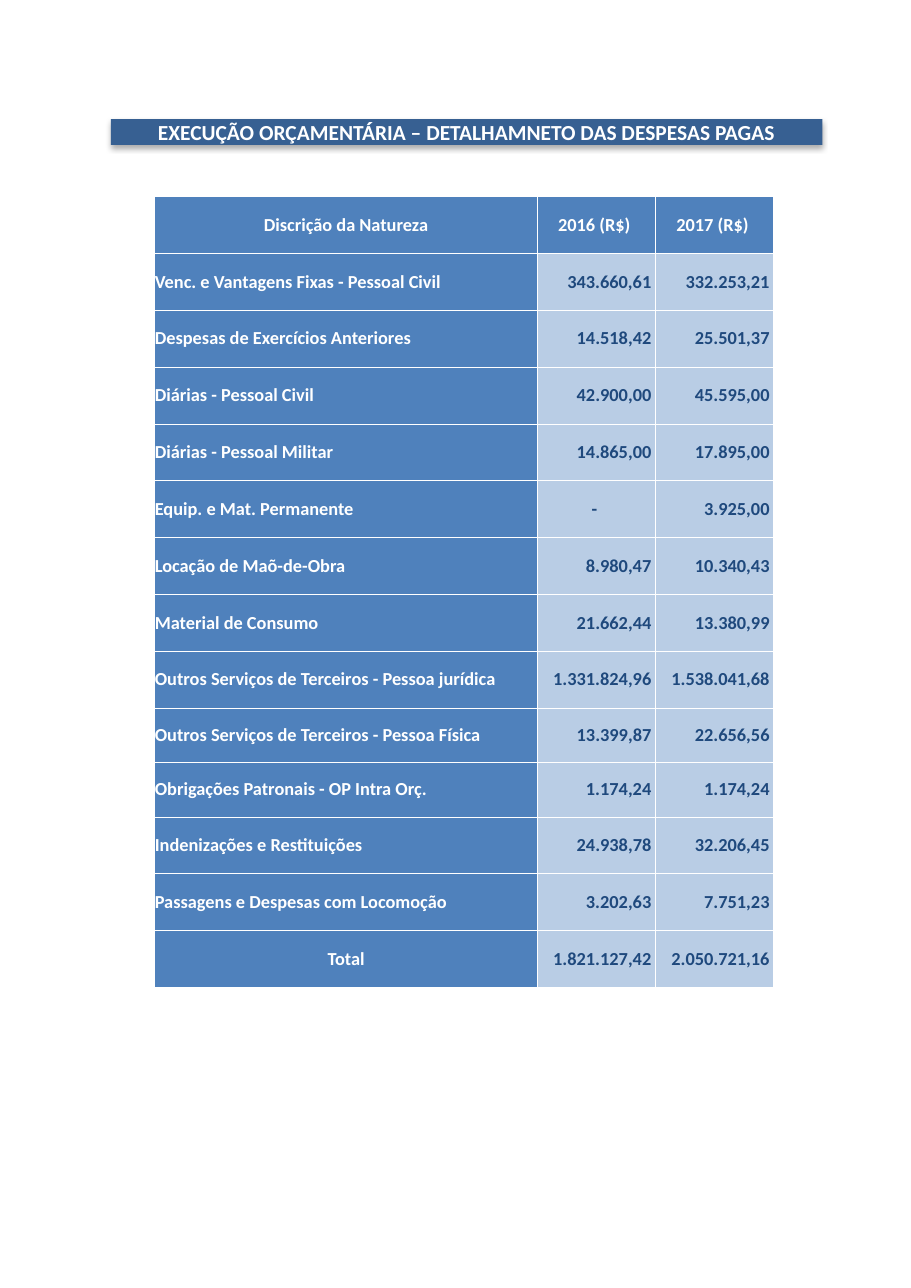
"""Build the slide of budget execution with expenses paid in 2016 and 2017."""
import pptx
import pptx.dml.color
import pptx.enum.shapes
import pptx.enum.text
import pptx.oxml
import pptx.oxml.ns
import pptx.util
from lxml import etree

Pt = pptx.util.Pt
ALIGN = pptx.enum.text.PP_ALIGN
MIDDLE = pptx.enum.text.MSO_ANCHOR.MIDDLE

EXPENSES = [
    ("Venc. e Vantagens Fixas - Pessoal Civil", "343.660,61", "332.253,21"),
    ("Despesas de Exercícios Anteriores", "14.518,42", "25.501,37"),
    ("Diárias - Pessoal Civil", "42.900,00", "45.595,00"),
    ("Diárias - Pessoal Militar", "14.865,00", "17.895,00"),
    ("Equip. e Mat. Permanente", "-", "3.925,00"),
    ("Locação de Maõ-de-Obra", "8.980,47", "10.340,43"),
    ("Material de Consumo", "21.662,44", "13.380,99"),
    ("Outros Serviços de Terceiros - Pessoa jurídica", "1.331.824,96", "1.538.041,68"),
    ("Outros Serviços de Terceiros - Pessoa Física", "13.399,87", "22.656,56"),
    ("Obrigações Patronais - OP Intra Orç.", "1.174,24", "1.174,24"),
    ("Indenizações e Restituições", "24.938,78", "32.206,45"),
    ("Passagens e Despesas com Locomoção", "3.202,63", "7.751,23"),
]
HEADER = ("Discrição da Natureza", "2016 (R$)", "2017 (R$)")
TOTAL = ("Total", "1.821.127,42", "2.050.721,16")


def rgb(color):
    """Turn a hex string into a colour."""
    return pptx.dml.color.RGBColor.from_string(color)


class SlideBuilder:
    """Hold the style and the current slide."""

    font = "Calibri"
    white, navy = "FFFFFF", "1F497D"
    banner_fill, head_fill, value_fill = "376092", "4F81BC", "B9CDE5"

    def __init__(self, s):
        """Keep the slide to draw on."""
        self.s = s

    def text(self, tf, text, size, color, align):
        """Write one bold run into a text frame."""
        p = tf.paragraphs[0]
        p.alignment = align
        r = p.add_run()
        r.text = text
        r.font.name = self.font
        r.font.size = Pt(size)
        r.font.bold = True
        r.font.color.rgb = rgb(color)

    def shadow(self, sp):
        """Give a shape a soft shadow below it."""
        sp.shadow.inherit = False
        effects = sp._element.spPr.find(pptx.oxml.ns.qn("a:effectLst"))
        effects.append(pptx.oxml.parse_xml(
            f'<a:outerShdw {pptx.oxml.ns.nsdecls("a")} blurRad="{Pt(3.5)}" '
            f'dist="{Pt(2.2)}" dir="5400000" algn="ctr" rotWithShape="0">'
            '<a:srgbClr val="000000"><a:alpha val="32000"/></a:srgbClr></a:outerShdw>'))

    def banner(self, text, x, y, w, h):
        """Add the title bar."""
        sp = self.s.shapes.add_shape(
            pptx.enum.shapes.MSO_SHAPE.RECTANGLE, Pt(x), Pt(y), Pt(w), Pt(h))
        sp.fill.solid()
        sp.fill.fore_color.rgb = rgb(self.banner_fill)
        sp.line.fill.background()
        self.shadow(sp)
        tf = sp.text_frame
        tf.word_wrap = True
        tf.vertical_anchor = MIDDLE
        tf.margin_top = tf.margin_bottom = 0
        self.text(tf, text, 14, self.white, ALIGN.CENTER)

    def borders(self, cell):
        """Draw thin white borders around a cell."""
        tcPr = cell._tc.get_or_add_tcPr()
        for i, side in enumerate(("lnL", "lnR", "lnT", "lnB")):
            ln = etree.Element(pptx.oxml.ns.qn(f"a:{side}"), w=str(Pt(0.5)))
            fill = etree.SubElement(ln, pptx.oxml.ns.qn("a:solidFill"))
            etree.SubElement(fill, pptx.oxml.ns.qn("a:srgbClr"), val=self.white)
            tcPr.insert(i, ln)

    def cell(self, cell, text, fill, color, align, right):
        """Fill and write one table cell."""
        cell.fill.solid()
        cell.fill.fore_color.rgb = rgb(fill)
        cell.vertical_anchor = MIDDLE
        cell.margin_left = cell.margin_top = cell.margin_bottom = 0
        cell.margin_right = Pt(right)
        self.text(cell.text_frame, text, 12, color, align)
        self.borders(cell)

    def table(self, rows, x, y, widths, heights):
        """Add the table of expenses."""
        table = self.s.shapes.add_table(
            len(rows), len(widths), Pt(x), Pt(y), Pt(sum(widths)), Pt(sum(heights))).table
        for column, width in zip(table.columns, widths):
            column.width = Pt(width)
        for i, (row, height) in enumerate(zip(rows, heights)):
            table.rows[i].height = Pt(height)
            for j, text in enumerate(row):
                heading = i == 0 or j == 0
                if i == 0 or text in ("-", "Total"):
                    align = ALIGN.CENTER
                else:
                    align = ALIGN.RIGHT if j else ALIGN.LEFT
                self.cell(table.cell(i, j), text,
                          self.head_fill if heading else self.value_fill,
                          self.white if heading else self.navy,
                          align, 2.7 if j else 0)


def main():
    """Build and save the slide."""
    prs = pptx.Presentation()
    prs.slide_width, prs.slide_height = Pt(595.44), Pt(841.68)
    builder = SlideBuilder(prs.slides.add_slide(prs.slide_layouts[6]))
    builder.banner("EXECUÇÃO ORÇAMENTÁRIA – DETALHAMNETO DAS DESPESAS PAGAS",
                   72.5, 77.8, 465, 16.8)
    rows = [HEADER, *EXPENSES, TOTAL]
    heights = [35.6 if i in (9, 10) else 37.15 for i in range(len(rows))]
    builder.table(rows, 101.2, 128.5, [250, 77.3, 77.3], heights)
    prs.save("out.pptx")


if __name__ == "__main__":
    main()
